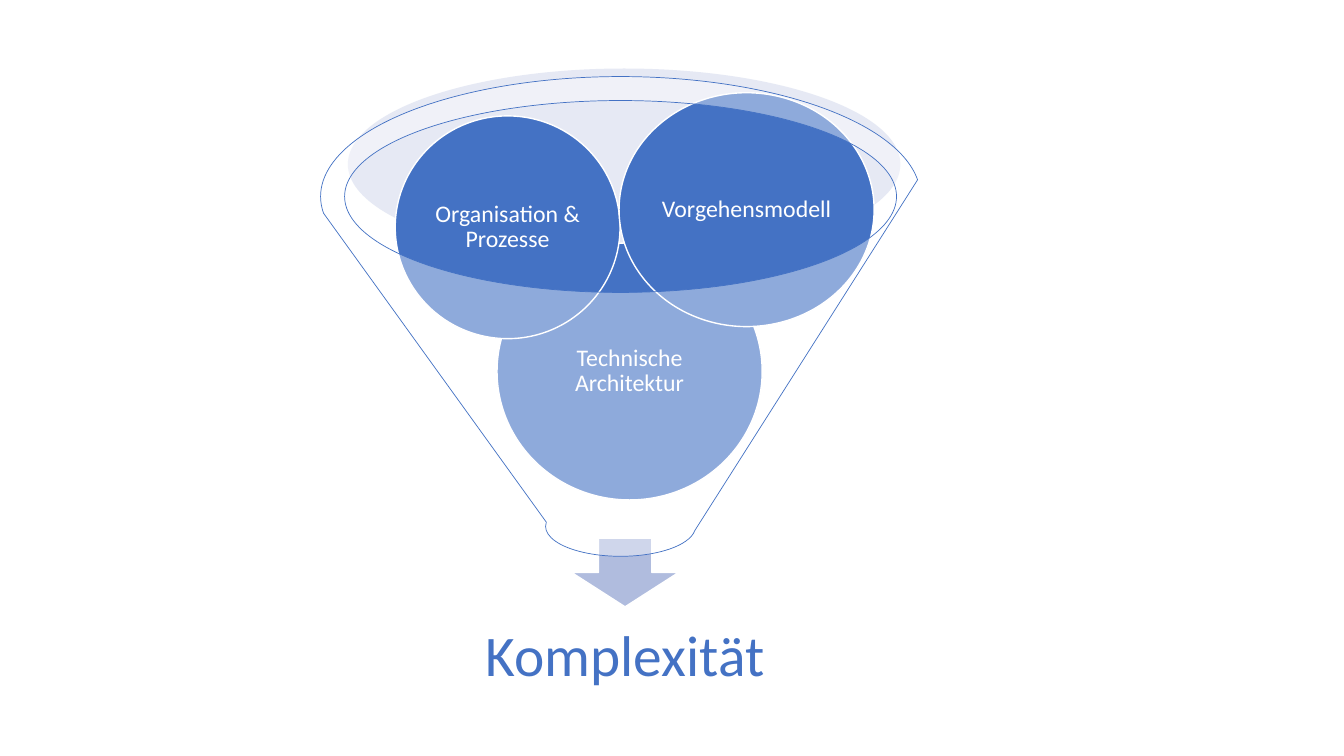
from dataclasses import dataclass

from lxml import etree
from pptx import Presentation
from pptx.dml.color import RGBColor
from pptx.enum.shapes import MSO_SHAPE
from pptx.enum.text import MSO_ANCHOR, PP_ALIGN
from pptx.oxml.ns import qn
from pptx.shapes.autoshape import Shape
from pptx.slide import Slide
from pptx.util import Inches, Pt

ELLIPSE = MSO_SHAPE.OVAL
DOWN_ARROW = MSO_SHAPE.DOWN_ARROW
FUNNEL = MSO_SHAPE.FUNNEL
MIDDLE = MSO_ANCHOR.MIDDLE
CENTER = PP_ALIGN.CENTER

BLUE = RGBColor(0x44, 0x72, 0xC4)
PALE_BLUE = RGBColor(0xC1, 0xC9, 0xE4)
ARROW_BLUE = RGBColor(0xB0, 0xBC, 0xDE)
WHITE = RGBColor(0xFF, 0xFF, 0xFF)

FONT_NAME = "Calibri"
BLANK_LAYOUT = 6


@dataclass(frozen=True)
class Box:
    left: float
    top: float
    width: float
    height: float

    def lengths(self) -> tuple[Inches, Inches, Inches, Inches]:
        return (Inches(self.left), Inches(self.top),
                Inches(self.width), Inches(self.height))


@dataclass(frozen=True)
class Figure:
    preset: MSO_SHAPE
    box: Box
    fill: RGBColor
    opacity: int = 100
    line: RGBColor | None = WHITE
    line_width: float = 1
    text: str = ""


FIGURES = [
    Figure(ELLIPSE, Box(3.45, 0.68, 5.48, 1.9), PALE_BLUE, opacity=40, line=None),
    Figure(DOWN_ARROW, Box(5.67, 5.34, 1.06, 0.68), ARROW_BLUE),
    Figure(ELLIPSE, Box(4.93, 2.41, 2.63, 2.55), BLUE, text="Technische Architektur"),
    Figure(ELLIPSE, Box(3.92, 1.15, 2.23, 2.21), BLUE, text="Organisation & Prozesse"),
    Figure(ELLIPSE, Box(6.14, 0.92, 2.53, 2.32), BLUE, text="Vorgehensmodell"),
    Figure(FUNNEL, Box(3.18, 0.76, 5.95, 4.76), WHITE, opacity=40, line=BLUE, line_width=0.5),
]
RESULT_BOX = Box(3.65, 5.89, 5.1, 1.28)


def write_text(shape: Shape, text: str, size: float, color: RGBColor, inset: float) -> None:
    frame = shape.text_frame
    frame.word_wrap = True
    frame.vertical_anchor = MIDDLE
    frame.margin_left = frame.margin_right = Inches(inset)
    frame.margin_top = frame.margin_bottom = Inches(inset)
    paragraph = frame.paragraphs[0]
    paragraph.text = text
    paragraph.alignment = CENTER
    paragraph.line_spacing = 0.9
    paragraph.font.name = FONT_NAME
    paragraph.font.size = Pt(size)
    paragraph.font.color.rgb = color


def set_opacity(shape: Shape, percent: int) -> None:
    fill_color = shape.fill._xPr.find(qn("a:solidFill"))[0]
    etree.SubElement(fill_color, qn("a:alpha")).set("val", str(percent * 1000))


def draw_figure(slide: Slide, figure: Figure) -> None:
    shape = slide.shapes.add_shape(figure.preset, *figure.box.lengths())
    shape.shadow.inherit = False
    shape.fill.solid()
    shape.fill.fore_color.rgb = figure.fill
    if figure.opacity < 100:
        set_opacity(shape, figure.opacity)
    if figure.line is None:
        shape.line.fill.background()
    else:
        shape.line.color.rgb = figure.line
        shape.line.width = Pt(figure.line_width)
    if figure.text:
        write_text(shape, figure.text, 17, WHITE, 0.02)


def main() -> None:
    presentation = Presentation()
    presentation.slide_width = Inches(13.33)
    presentation.slide_height = Inches(7.5)
    slide = presentation.slides.add_slide(presentation.slide_layouts[BLANK_LAYOUT])
    for figure in FIGURES:
        draw_figure(slide, figure)
    result = slide.shapes.add_textbox(*RESULT_BOX.lengths())
    write_text(result, "Komplexität", 41, BLUE, 0.32)
    presentation.save("out.pptx")


if __name__ == "__main__":
    main()
